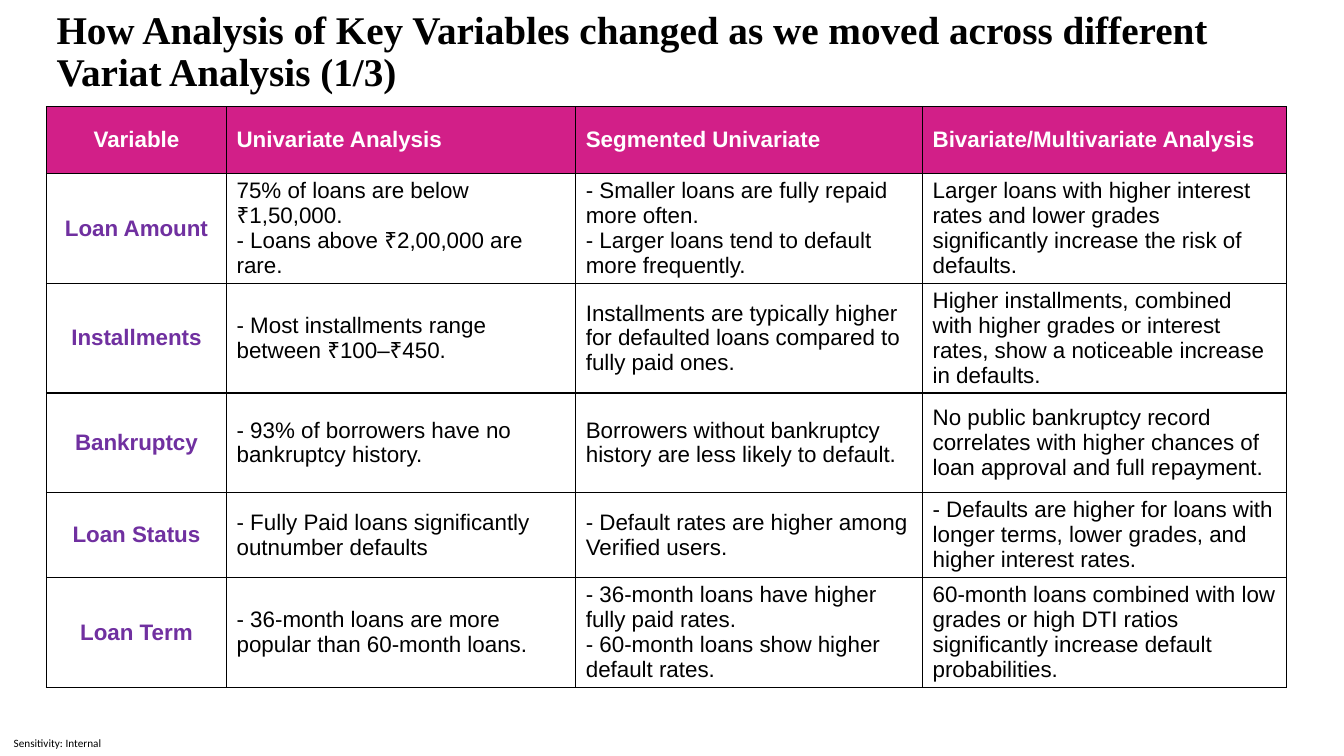
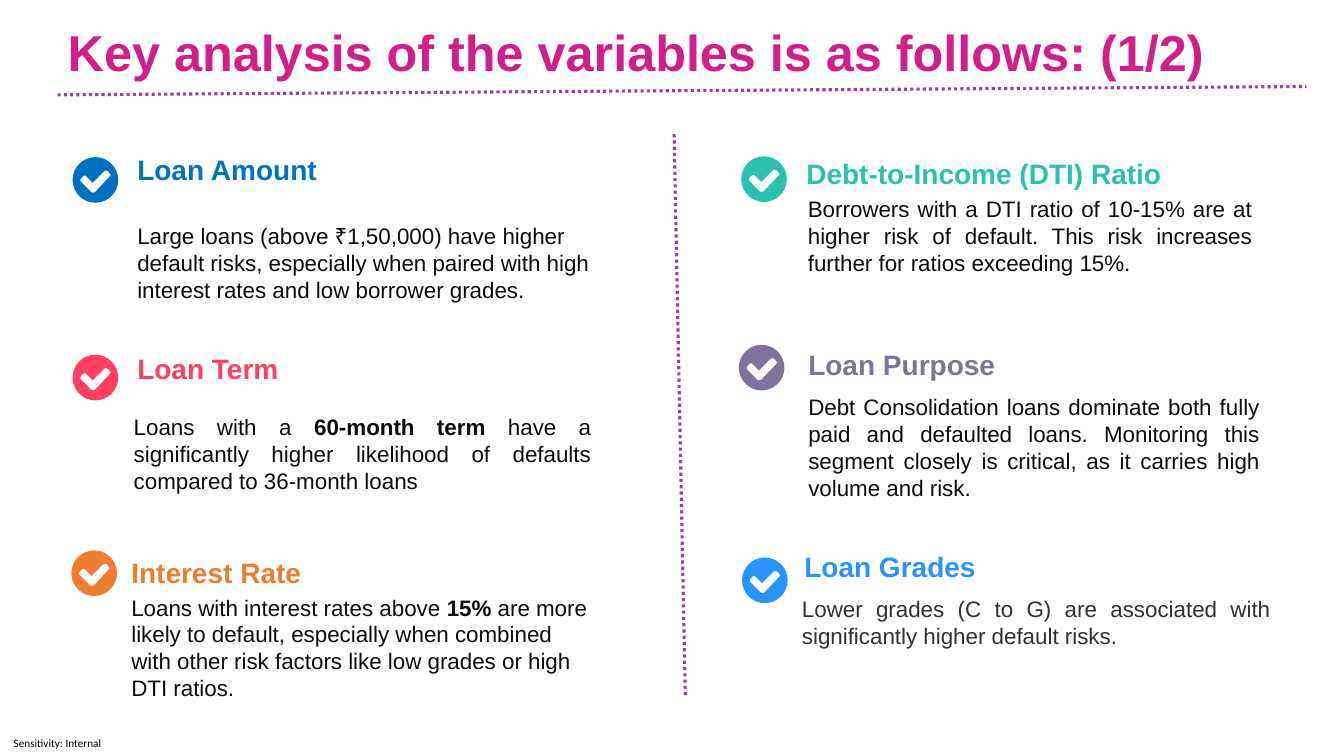
"""Build two slides on how loan variables relate to default risk."""
from dataclasses import dataclass

import lxml.etree
import pptx
import pptx.dml.color
import pptx.enum.dml
import pptx.enum.shapes
import pptx.enum.text
import pptx.oxml.ns
import pptx.util

Cm = pptx.util.Cm
Pt = pptx.util.Pt
Align = pptx.enum.text.PP_ALIGN
Anchor = pptx.enum.text.MSO_ANCHOR
qn = pptx.oxml.ns.qn


@dataclass(frozen=True)
class Theme:
    sans: str = "Arial"
    serif: str = "Times New Roman"
    label_font: str = "Calibri"
    black: str = "000000"
    white: str = "FFFFFF"
    pink: str = "D21F88"
    purple: str = "7030A0"
    rule: str = "943FAB"
    ink: str = "0D0D0D"
    grey: str = "313131"
    table_title: int = 28
    topic_title: int = 36
    heading: int = 20
    body: int = 16
    label: int = 8
    title_spacing: float = 0.9


THEME = Theme()

SENSITIVITY = "Sensitivity: Internal"
TABLE_TITLE = ("How Analysis of Key Variables changed as we moved across "
               "different Variat Analysis (1/3)")
TOPIC_TITLE = "Key analysis of the variables is as follows: (1/2)"

COLUMN_WIDTHS = [4.54, 8.8, 8.74, 9.17]
ROW_HEIGHTS = [1.68, 2.77, 2.76, 2.51, 2.13, 2.77]
TABLE_ROWS = [
    ("Variable", "Univariate Analysis", "Segmented Univariate",
     "Bivariate/Multivariate Analysis"),
    ("Loan Amount",
     "75% of loans are below ₹1,50,000.\v- Loans above ₹2,00,000 are rare.",
     "- Smaller loans are fully repaid more often.\v"
     "- Larger loans tend to default more frequently.",
     "Larger loans with higher interest rates and lower grades significantly "
     "increase the risk of defaults."),
    ("Installments",
     "- Most installments range between ₹100–₹450.",
     "Installments are typically higher for defaulted loans compared to "
     "fully paid ones.",
     "Higher installments, combined with higher grades or interest rates, "
     "show a noticeable increase in defaults."),
    ("Bankruptcy",
     "- 93% of borrowers have no bankruptcy history.",
     "Borrowers without bankruptcy history are less likely to default.",
     "No public bankruptcy record correlates with higher chances of loan "
     "approval and full repayment."),
    ("Loan Status",
     "- Fully Paid loans significantly outnumber defaults",
     "- Default rates are higher among Verified users.",
     "- Defaults are higher for loans with longer terms, lower grades, and "
     "higher interest rates."),
    ("Loan Term",
     "- 36-month loans are more popular than 60-month loans.",
     "- 36-month loans have higher fully paid rates.\v"
     "- 60-month loans show higher default rates.",
     "60-month loans combined with low grades or high DTI ratios "
     "significantly increase default probabilities."),
]

TOPICS = [
    dict(heading="Loan Amount", color="0070C0", badge=(1.83, 3.96),
         heading_at=(3.46, 3.84), body_at=(3.46, 5.61), width=11.53, lines=3,
         align=Align.LEFT, ink=THEME.ink,
         parts=["Large loans (above ₹1,50,000) have higher default risks, "
                "especially when paired with high interest rates and low "
                "borrower grades."]),
    dict(heading="Loan Term", color="FF3F5F", badge=(1.83, 8.94),
         heading_at=(3.46, 8.86), body_at=(3.37, 10.41), width=11.53, lines=3,
         align=Align.JUSTIFY, ink=THEME.ink,
         parts=["Loans with a ", "60-month term",
                " have a significantly higher likelihood of defaults "
                "compared to 36-month loans"]),
    dict(heading="Interest Rate", color="ED7D31", badge=(1.8, 13.87),
         heading_at=(3.31, 14), body_at=(3.31, 14.96), width=11.63, lines=4,
         align=Align.LEFT, ink=THEME.ink,
         parts=["Loans with interest rates above ", "15%",
                " are more likely to default, especially when combined with "
                "other risk factors like low grades or high DTI ratios."]),
    dict(heading="Debt-to-Income (DTI) Ratio", color="2AC2AC",
         badge=(18.68, 3.94), heading_at=(20.32, 3.95), body_at=(20.36, 4.93),
         width=11.2, lines=3, align=Align.JUSTIFY, ink=THEME.ink,
         parts=["Borrowers with a DTI ratio of 10-15% are at higher risk of "
                "default. This risk increases further for ratios exceeding "
                "15%."]),
    dict(heading="Loan Purpose", color="7F739A", badge=(18.62, 8.69),
         heading_at=(20.37, 8.76), body_at=(20.37, 9.91), width=11.38,
         lines=4, align=Align.JUSTIFY, ink=THEME.ink,
         parts=["Debt Consolidation loans dominate both fully paid and "
                "defaulted loans. Monitoring this segment closely is "
                "critical, as it carries high volume and risk."]),
    dict(heading="Loan Grades", color="2993FF", badge=(18.7, 14.05),
         heading_at=(20.27, 13.84), body_at=(20.21, 14.99), width=11.81,
         lines=2, align=Align.JUSTIFY, ink=THEME.grey,
         parts=["Lower grades (C to G) are associated with significantly "
                "higher default risks."]),
]
RULES = [((16.99, 3.38), (17.27, 17.58)), ((1.45, 2.39), (32.92, 2.18))]

BADGE_SIZE = 1.15
ARC_PULL = 0.55
CIRCLE = [(0.5, 1), (0, 0.5), (0.5, 0), (1, 0.5), (0.5, 1)]
CORNERS = [(0, 1), (0, 0), (1, 0), (1, 1)]
TICK = [(0.82, 0.36), (0.78, 0.31), (0.73, 0.29), (0.69, 0.31), (0.44, 0.56),
        (0.29, 0.41), (0.27, 0.4), (0.24, 0.41), (0.18, 0.47), (0.17, 0.51),
        (0.18, 0.54), (0.41, 0.77), (0.45, 0.78), (0.49, 0.77), (0.82, 0.42),
        (0.84, 0.39)]


def rgb(color):
    return pptx.dml.color.RGBColor.from_string(color)


def style(span, font, size, color, bold=False):
    span.font.name = font
    span.font.size = Pt(size)
    span.font.bold = bold
    span.font.color.rgb = rgb(color)


def add_box(page, at, width, height, parts, font, size, color,
            bold=False, align=Align.LEFT, anchor=Anchor.TOP):
    """Add a text box in which every second part is bold."""
    box = page.shapes.add_textbox(Cm(at[0]), Cm(at[1]), Cm(width), Cm(height))
    frame = box.text_frame
    frame.word_wrap = True
    frame.vertical_anchor = anchor
    frame.margin_left = frame.margin_right = 0
    frame.margin_top = frame.margin_bottom = 0
    para = frame.paragraphs[0]
    para.alignment = align
    for index, part in enumerate(parts):
        span = para.add_run()
        span.text = part
        style(span, font, size, color, bold or index % 2 == 1)
    return box


def add_page(deck, title, at, width, height, font, size, color):
    page = deck.slides.add_slide(deck.slide_layouts.get_by_name("Title Only"))
    shape = page.shapes.title
    shape.left, shape.top = Cm(at[0]), Cm(at[1])
    shape.width, shape.height = Cm(width), Cm(height)
    frame = shape.text_frame
    frame.text = title
    frame.word_wrap = True
    frame.auto_size = pptx.enum.text.MSO_AUTO_SIZE.NONE
    frame.vertical_anchor = Anchor.MIDDLE
    para = frame.paragraphs[0]
    para.alignment = Align.LEFT
    para.line_spacing = THEME.title_spacing
    style(para.runs[0], font, size, color, True)
    return page


def add_borders(cell):
    properties = cell._tc.get_or_add_tcPr()
    for index, side in enumerate(("lnL", "lnR", "lnT", "lnB")):
        line = lxml.etree.Element(qn("a:" + side), w=str(Pt(1)))
        fill = lxml.etree.SubElement(line, qn("a:solidFill"))
        lxml.etree.SubElement(fill, qn("a:srgbClr"), val=THEME.black)
        properties.insert(index, line)


def fill_cell(cell, text, is_header, is_label):
    para = cell.text_frame.paragraphs[0]
    para.text = text
    para.alignment = Align.CENTER if is_label else Align.LEFT
    cell.vertical_anchor = Anchor.MIDDLE
    if is_header:
        cell.fill.solid()
        cell.fill.fore_color.rgb = rgb(THEME.pink)
        color = THEME.white
    else:
        cell.fill.background()
        color = THEME.purple if is_label else THEME.black
    for span in para.runs:
        style(span, THEME.sans, THEME.body, color, is_header or is_label)
    add_borders(cell)


def add_variable_table(page):
    frame = page.shapes.add_table(
        len(TABLE_ROWS), len(COLUMN_WIDTHS), Cm(1.17), Cm(2.69),
        Cm(sum(COLUMN_WIDTHS)), Cm(sum(ROW_HEIGHTS)))
    table = frame.table
    table.horz_banding = False
    for column, width in zip(table.columns, COLUMN_WIDTHS):
        column.width = Cm(width)
    for row_index, texts in enumerate(TABLE_ROWS):
        table.rows[row_index].height = Cm(ROW_HEIGHTS[row_index])
        for column_index, text in enumerate(texts):
            fill_cell(table.cell(row_index, column_index), text,
                      row_index == 0, column_index == 0)


def toward(point, corner):
    return tuple(a + (b - a) * ARC_PULL for a, b in zip(point, corner))


def round_circle(badge):
    """Turn the first four straight segments into quarter arcs."""
    segments = list(badge.element.iter(qn("a:lnTo")))[:len(CORNERS)]
    for index, segment in enumerate(segments):
        start, end = CIRCLE[index:index + 2]
        corner = CORNERS[index]
        arc = lxml.etree.Element(qn("a:cubicBezTo"))
        for x, y in (toward(start, corner), toward(end, corner), end):
            lxml.etree.SubElement(arc, qn("a:pt"), x=str(Cm(x * BADGE_SIZE)),
                                  y=str(Cm(y * BADGE_SIZE)))
        segment.getparent().replace(segment, arc)


def add_badge(page, at, color):
    outline, tick = [
        [(Cm(at[0] + x * BADGE_SIZE), Cm(at[1] + y * BADGE_SIZE))
         for x, y in points] for points in (CIRCLE, TICK)]
    builder = page.shapes.build_freeform(*outline[0])
    builder.add_line_segments(outline[1:], close=True)
    builder.move_to(*tick[0])
    builder.add_line_segments(tick[1:], close=True)
    badge = builder.convert_to_shape()
    round_circle(badge)
    badge.shadow.inherit = False
    badge.fill.solid()
    badge.fill.fore_color.rgb = rgb(color)
    badge.line.fill.background()


def add_topic(page, topic):
    add_badge(page, topic["badge"], topic["color"])
    add_box(page, topic["heading_at"], 10, 0.86, [topic["heading"]],
            THEME.sans, THEME.heading, topic["color"], bold=True)
    add_box(page, topic["body_at"], topic["width"], 0.69 * topic["lines"],
            topic["parts"], THEME.sans, THEME.body, topic["ink"],
            align=topic["align"])


def add_rule(page, start, end):
    line = page.shapes.add_connector(
        pptx.enum.shapes.MSO_CONNECTOR.STRAIGHT,
        Cm(start[0]), Cm(start[1]), Cm(end[0]), Cm(end[1]))
    line.line.color.rgb = rgb(THEME.rule)
    line.line.width = Pt(2.25)
    line.line.dash_style = pptx.enum.dml.MSO_LINE.ROUND_DOT
    lxml.etree.SubElement(line.element.spPr, qn("a:effectLst"))


def main():
    deck = pptx.Presentation()
    deck.slide_width, deck.slide_height = Cm(33.87), Cm(19.05)

    table_page = add_page(deck, TABLE_TITLE, (1.17, 0.65), 31.6, 1.37,
                          THEME.serif, THEME.table_title, THEME.black)
    label = add_box(table_page, (0, 18.42), 2.9, 0.63, [SENSITIVITY],
                    THEME.label_font, THEME.label, THEME.black,
                    align=Align.CENTER, anchor=Anchor.MIDDLE)
    deck.slide_master.element.cSld.spTree.append(label.element)
    add_variable_table(table_page)

    topic_page = add_page(deck, TOPIC_TITLE, (1.45, 0.53), 29.21, 1.7,
                          THEME.sans, THEME.topic_title, THEME.pink)
    for topic in TOPICS:
        add_topic(topic_page, topic)
    for start, end in RULES:
        add_rule(topic_page, start, end)

    deck.save("out.pptx")


if __name__ == "__main__":
    main()
